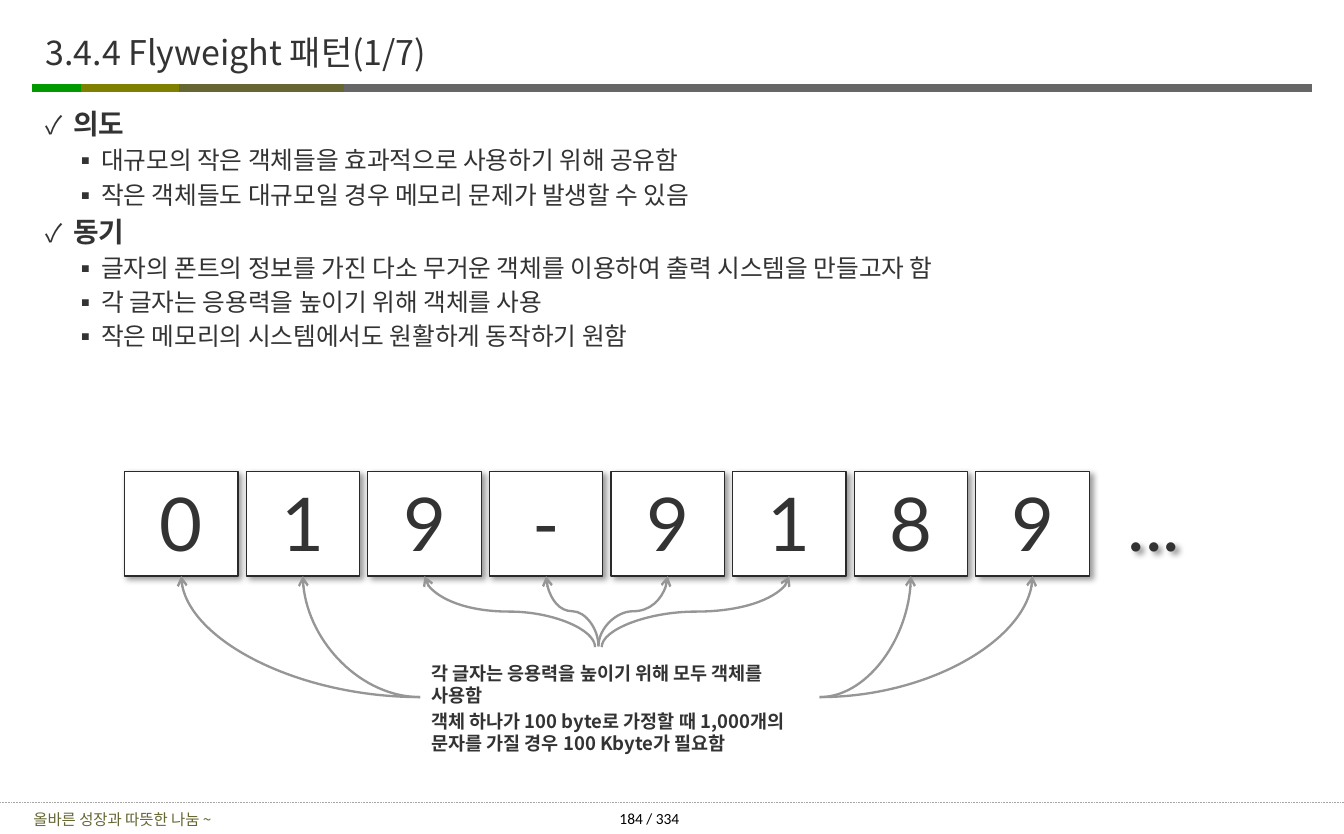
from lxml import etree
from pptx import Presentation
from pptx.dml.color import RGBColor
from pptx.enum.dml import MSO_LINE
from pptx.enum.shapes import MSO_CONNECTOR, MSO_SHAPE
from pptx.enum.text import MSO_ANCHOR, PP_ALIGN
from pptx.oxml import parse_xml
from pptx.oxml.ns import nsdecls, qn
from pptx.util import Pt

WHITE = RGBColor(0xFF, 0xFF, 0xFF)
BLACK = RGBColor(0x00, 0x00, 0x00)
INK = RGBColor(0x33, 0x33, 0x33)
TILE_EDGE = RGBColor(0x2A, 0x2A, 0x2A)
GRAY = RGBColor(0x66, 0x66, 0x66)
GREEN = RGBColor(0x00, 0x99, 0x00)
OLIVE = RGBColor(0x80, 0x80, 0x00)
MOSS = RGBColor(0x66, 0x66, 0x33)
RULE = RGBColor(0xA6, 0xA6, 0xA6)
ARROW = RGBColor(0x96, 0x96, 0x96)

KOREAN = "Noto Sans CJK KR"
SHADOW = (
    f'<a:effectLst {nsdecls("a")}><a:outerShdw blurRad="50800" dist="38100" dir="2700000" '
    'algn="tl" rotWithShape="0"><a:srgbClr val="000000"><a:alpha val="40000"/></a:srgbClr>'
    "</a:outerShdw></a:effectLst>"
)


def write(paragraph, text, size, face=KOREAN, color=INK, bold=False):
    run = paragraph.add_run()
    run.text = text
    for key, value in {"name": face, "size": Pt(size), "bold": bold}.items():
        setattr(run.font, key, value)
    run.font.color.rgb = color
    east_asian = etree.SubElement(run.font._element, qn("a:ea"))
    east_asian.set("typeface", face)


def connect(kind, x1, y1, x2, y2, color, width):
    connector = slide.shapes.add_connector(kind, Pt(x1), Pt(y1), Pt(x2), Pt(y2))
    connector.line.color.rgb = color
    connector.line.width = Pt(width)
    etree.SubElement(connector._element.spPr, qn("a:effectLst"))
    return connector


deck = Presentation()
deck.slide_width = Pt(870)
deck.slide_height = Pt(540)
slide = deck.slides.add_slide(deck.slide_layouts[6])

for start, end, color in [
    (214.5, 849, GRAY), (21, 78.5, GREEN), (52.5, 119.5, OLIVE), (116, 223, MOSS),
]:
    connect(MSO_CONNECTOR.STRAIGHT, start, 57, end, 57, color, 5)
footer_rule = connect(MSO_CONNECTOR.STRAIGHT, 0, 519.8, 870, 519.8, RULE, 0.5)
footer_rule.line.dash_style = MSO_LINE.ROUND_DOT

for text, left, top, width, height, size, face, color, align in [
    ("3.4.4 Flyweight 패턴(1/7)", 29.5, 11, 720, 45, 22, KOREAN, INK, PP_ALIGN.LEFT),
    ("올바른 성장과 따뜻한 나눔 ~", 0, 521.5, 158.5, 18.5, 10, KOREAN, MOSS, PP_ALIGN.CENTER),
    ("184 / 334", 401, 520, 60, 20, 10, "Calibri", BLACK, PP_ALIGN.LEFT),
]:
    label = slide.shapes.add_textbox(Pt(left), Pt(top), Pt(width), Pt(height)).text_frame
    for key, value in {"word_wrap": True, "vertical_anchor": MSO_ANCHOR.MIDDLE,
                       "margin_left": 0, "margin_right": 0,
                       "margin_top": 0, "margin_bottom": 0}.items():
        setattr(label, key, value)
    label.paragraphs[0].alignment = align
    write(label.paragraphs[0], text, size, face, color)

outline = slide.shapes.add_textbox(Pt(26.5), Pt(66.5), Pt(828), Pt(165)).text_frame
for key, value in {"word_wrap": True, "margin_left": Pt(3), "margin_right": Pt(3),
                   "margin_top": Pt(3), "margin_bottom": Pt(3)}.items():
    setattr(outline, key, value)
for index, (level, text) in enumerate([
    (0, "의도"),
    (1, "대규모의 작은 객체들을 효과적으로 사용하기 위해 공유함"),
    (1, "작은 객체들도 대규모일 경우 메모리 문제가 발생할 수 있음"),
    (0, "동기"),
    (1, "글자의 폰트의 정보를 가진 다소 무거운 객체를 이용하여 출력 시스템을 만들고자 함"),
    (1, "각 글자는 응용력을 높이기 위해 객체를 사용"),
    (1, "작은 메모리의 시스템에서도 원활하게 동작하기 원함"),
]):
    point = outline.add_paragraph() if index else outline.paragraphs[0]
    size = 16 if level else 18
    point.level = level
    point.line_spacing = Pt(size * 1.19)
    point.space_before = Pt(size * 0.2 if index else 0)
    properties = point._p.get_or_add_pPr()
    properties.set("marL", str(Pt(18 * (level + 1))))
    properties.set("indent", str(-Pt(18)))
    for tag, attribute, value in [
        ("a:buSzPct", "val", "100000" if level else "90000"),
        ("a:buFont", "typeface", KOREAN),
        ("a:buChar", "char", "▪" if level else "✓"),
    ]:
        etree.SubElement(properties, qn(tag)).set(attribute, value)
    write(point, text, size, bold=level == 0)

TILE_LEFT, TILE_TOP, TILE_WIDTH, TILE_HEIGHT, TILE_PITCH = 80.6, 305.3, 73.5, 67.7, 78.72
for index, character in enumerate([*"019-9189", "..."]):
    place = [Pt(v) for v in (TILE_LEFT + index * TILE_PITCH, TILE_TOP, TILE_WIDTH, TILE_HEIGHT)]
    if character == "...":
        tile = slide.shapes.add_textbox(*place)
    else:
        tile = slide.shapes.add_shape(MSO_SHAPE.RECTANGLE, *place)
        tile.fill.solid()
        tile.fill.fore_color.rgb = WHITE
        tile.line.color.rgb = TILE_EDGE
        tile.line.width = Pt(0.75)
    tile._element.spPr.append(parse_xml(SHADOW))
    tile.text_frame.word_wrap = True
    tile.text_frame.vertical_anchor = MSO_ANCHOR.TOP
    tile.text_frame.paragraphs[0].alignment = PP_ALIGN.CENTER
    write(tile.text_frame.paragraphs[0], character, 48, "Lato")

caption = slide.shapes.add_textbox(Pt(272), Pt(425), Pt(261.5), Pt(54)).text_frame
caption.word_wrap = True
for index, text in enumerate([
    "각 글자는 응용력을 높이기 위해 모두 객체를 사용함",
    "객체 하나가 100 byte로 가정할 때 1,000개의 문자를 가질 경우 100 Kbyte가 필요함",
]):
    sentence = caption.add_paragraph() if index else caption.paragraphs[0]
    sentence.line_spacing = Pt(14.3)
    sentence.space_before = Pt(2.4 if index else 0)
    write(sentence, text, 12, bold=True)

tile_bottom = TILE_TOP + TILE_HEIGHT
for index, x, y in [
    (0, 272, 451.4), (1, 272, 451.4), (2, 385.2, 419), (3, 387.4, 418.5),
    (4, 387.4, 418.5), (5, 389.5, 419), (6, 530.6, 451.4), (7, 530.6, 451.4),
]:
    target = TILE_LEFT + TILE_WIDTH / 2 + index * TILE_PITCH
    if index in (0, 1, 6, 7):
        arrow = connect(MSO_CONNECTOR.CURVE, x, y, target, tile_bottom, ARROW, 1.5)
        arrow._element.spPr.find(qn("a:prstGeom")).set("prst", "curvedConnector2")
    else:
        middle_x, middle_y = (x + target) / 2, (y + tile_bottom) / 2
        half_run, half_rise = (x - target) / 2, (y - tile_bottom) / 2
        arrow = connect(MSO_CONNECTOR.CURVE, middle_x - half_rise, middle_y + half_run,
                        middle_x + half_rise, middle_y - half_run, ARROW, 1.5)
        arrow._element.spPr.find(qn("a:xfrm")).set("rot", str(270 * 60000))
    etree.SubElement(arrow.line._get_or_add_ln(), qn("a:tailEnd")).set("type", "arrow")

deck.save("out.pptx")
